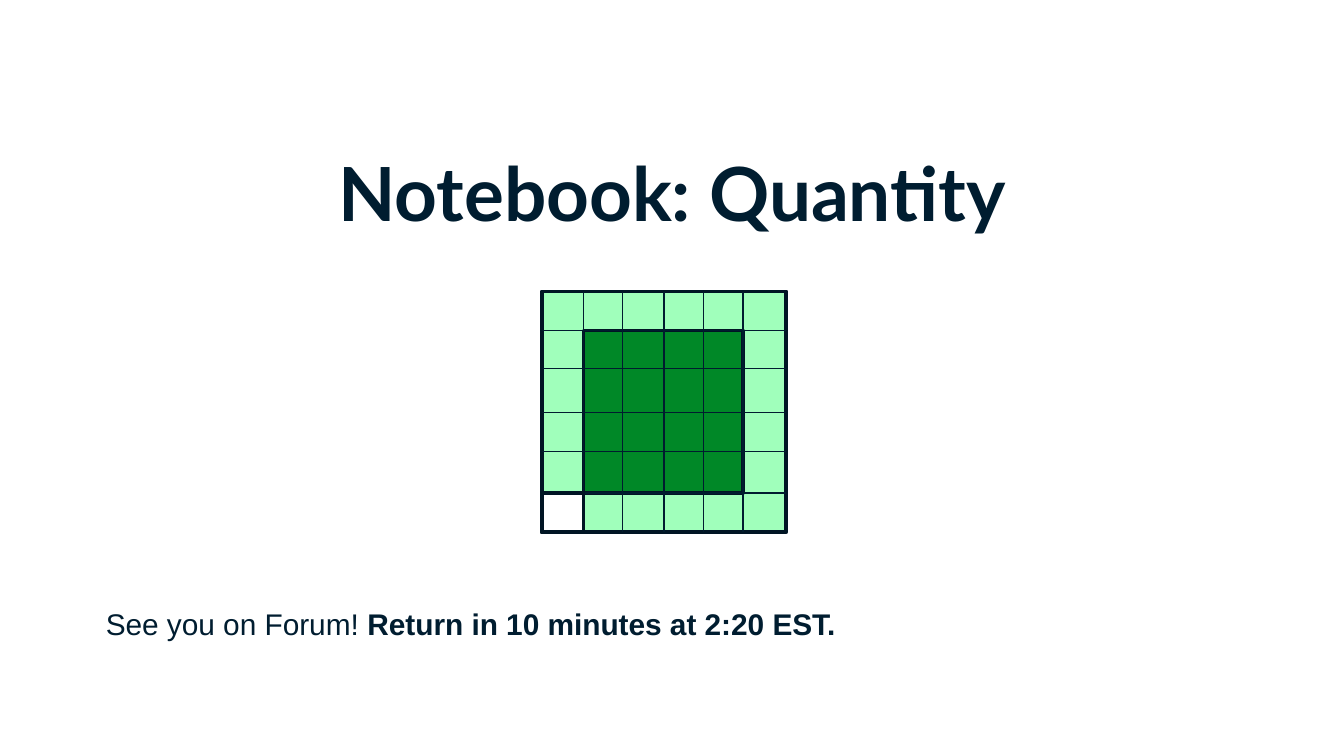
from dataclasses import dataclass

import pptx
import pptx.dml.color
import pptx.enum.shapes
import pptx.enum.text
import pptx.oxml.ns
import pptx.util
from lxml import etree

Cm = pptx.util.Cm
Pt = pptx.util.Pt


def rgb(code):
    return pptx.dml.color.RGBColor.from_string(code)


@dataclass(frozen=True)
class Theme:
    ink = rgb("001D30")
    outline = rgb("001524")
    grid = rgb("001C2F")
    pale_green = rgb("A0FFBB")
    deep_green = rgb("008827")
    white = rgb("FFFFFF")
    title_font = "Lato"
    body_font = "Arial"
    title_size = Pt(40)
    body_size = Pt(16)
    outline_width = Pt(2)
    grid_width = Pt(0.75)


THEME = Theme()

# Grid line offsets from the left and top of the square, in cm
COLUMNS = (0.79, 1.52, 2.31, 3.06, 3.8)
ROWS = (0.74, 1.45, 2.29, 3.02, 3.81)


def style_text(paragraph, font_name, size):
    paragraph.font.name = font_name
    paragraph.font.size = size
    paragraph.font.color.rgb = THEME.ink


def place_title(slide, left, top, width, height):
    title = slide.shapes.title
    title.left, title.top = Cm(left), Cm(top)
    title.width, title.height = Cm(width), Cm(height)
    frame = title.text_frame
    frame.text = "Notebook: Quantity"
    frame.word_wrap = True
    frame.auto_size = pptx.enum.text.MSO_AUTO_SIZE.NONE
    frame.vertical_anchor = pptx.enum.text.MSO_ANCHOR.TOP
    heading = frame.paragraphs[0]
    heading.alignment = pptx.enum.text.PP_ALIGN.CENTER
    heading.line_spacing = 0.9
    style_text(heading, THEME.title_font, THEME.title_size)
    heading.font.bold = True


def add_block(group, left, top, width, height, fill):
    block = group.shapes.add_shape(
        pptx.enum.shapes.MSO_SHAPE.RECTANGLE,
        Cm(left), Cm(top), Cm(width), Cm(height))
    block.shadow.inherit = False
    block.fill.solid()
    block.fill.fore_color.rgb = fill
    block.line.color.rgb = THEME.outline
    block.line.width = THEME.outline_width


def add_grid_line(group, x1, y1, x2, y2):
    line = group.shapes.add_connector(
        pptx.enum.shapes.MSO_CONNECTOR.STRAIGHT,
        Cm(x1), Cm(y1), Cm(x2), Cm(y2))
    line.line.color.rgb = THEME.grid
    line.line.width = THEME.grid_width
    etree.SubElement(line._element.spPr, pptx.oxml.ns.qn("a:effectLst"))


def place_quantity_square(slide, left, top, width, height):
    """Six by six grid with a dark centre and an empty bottom-left cell."""
    group = slide.shapes.add_group_shape()
    add_block(group, left, top, width, height, THEME.pale_green)
    add_block(group, left + COLUMNS[0], top + ROWS[0],
              COLUMNS[-1] - COLUMNS[0], ROWS[-1] - ROWS[0], THEME.deep_green)
    for column in COLUMNS:
        add_grid_line(group, left + column, top, left + column, top + height)
    for row in ROWS:
        add_grid_line(group, left, top + row, left + width, top + row)
    add_block(group, left, top + ROWS[-1],
              COLUMNS[0], height - ROWS[-1], THEME.white)


def place_break_notice(slide, left, top, width, height):
    notice = slide.shapes.add_textbox(Cm(left), Cm(top), Cm(width), Cm(height))
    notice.text_frame.word_wrap = True
    message = notice.text_frame.paragraphs[0]
    message.space_after = Pt(6)
    style_text(message, THEME.body_font, THEME.body_size)
    message.add_run().text = "See you on Forum! "
    return_time = message.add_run()
    return_time.text = "Return in 10 minutes at 2:20 EST."
    return_time.font.bold = True


def main():
    deck = pptx.Presentation()
    deck.slide_width, deck.slide_height = Cm(25.4), Cm(14.29)
    slide = deck.slides.add_slide(deck.slide_layouts.get_by_name("Title Only"))
    slide.background.fill.solid()
    slide.background.fill.fore_color.rgb = THEME.white
    place_title(slide, 5.51, 2.84, 14.38, 1.37)
    place_quantity_square(slide, 10.24, 5.51, 4.62, 4.55)
    place_break_notice(slide, 1.75, 11.33, 21.9, 1.93)
    deck.save("out.pptx")


if __name__ == "__main__":
    main()
